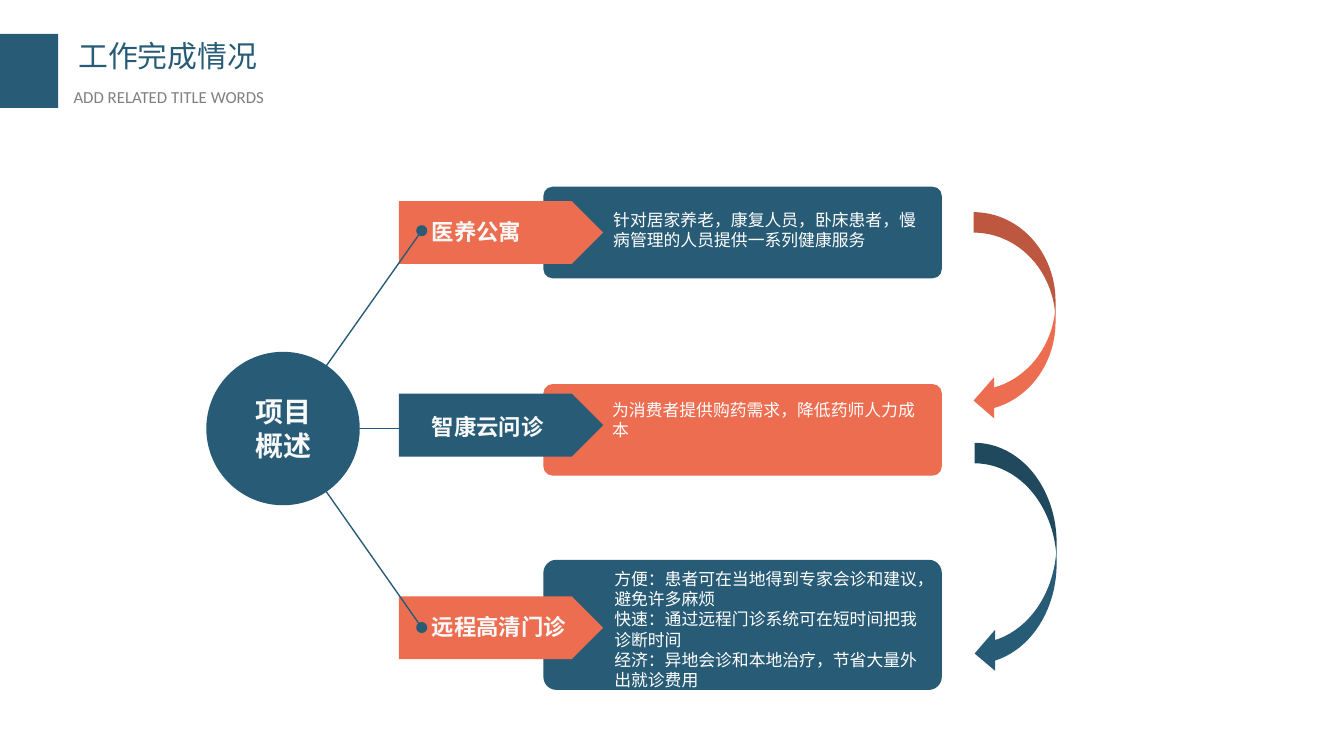
from lxml import etree
from pptx import Presentation
from pptx import util as u
from pptx.dml.color import RGBColor
from pptx.enum import shapes, text
from pptx.oxml.ns import qn

Cm, Pt = u.Cm, u.Pt
COLORS = {"blue": "285C76", "orange": "ED6D51", "gray": "808080",
          "light": "F8F8F8", "white": "FFFFFF"}
CJK_FONT = "Noto Sans CJK SC"

# Widescreen slide, 16:9
presentation = Presentation()
presentation.slide_width = Cm(25.4)
presentation.slide_height = presentation.slide_width * 9 // 16
slide = presentation.slides.add_slide(presentation.slide_layouts[1])


def add_block(kind, left, top, width, height, color):
    shape = slide.shapes.add_shape(kind, Cm(left), Cm(top), Cm(width), Cm(height))
    shape.shadow.inherit = False
    shape.fill.solid()
    shape.fill.fore_color.rgb = RGBColor.from_string(COLORS[color])
    shape.line.fill.background()
    return shape


def write(shape, lines, size, color, bold=False, font="Calibri",
          align=text.PP_ALIGN.LEFT, anchor=text.MSO_ANCHOR.MIDDLE, inset=0.18):
    frame = shape.text_frame
    frame.word_wrap = True
    frame.auto_size = text.MSO_AUTO_SIZE.NONE
    frame.vertical_anchor = anchor
    frame.margin_left = frame.margin_right = Cm(inset)
    frame.margin_top = frame.margin_bottom = Cm(0.1)
    for index, line in enumerate(lines):
        paragraph = frame.paragraphs[0] if index == 0 else frame.add_paragraph()
        paragraph.alignment = align
        paragraph.space_before = Pt(0)
        run = paragraph.add_run()
        run.text = line
        run.font.name, run.font.size, run.font.bold = font, Pt(size), bold
        run.font.color.rgb = RGBColor.from_string(COLORS[color])
        east_asian = etree.SubElement(run.font._element, qn("a:ea"))
        east_asian.set("typeface", CJK_FONT)


# Header: accent block, title and subtitle
add_block(shapes.MSO_SHAPE.RECTANGLE, 0, 0.64, 1.1, 1.4, "blue")
title, subtitle = slide.placeholders
headings = [
    (title, "工作完成情况", (1.28, 0.62, 5.11, 0.89), 16, "blue", CJK_FONT),
    (subtitle, "ADD RELATED TITLE WORDS", (1.19, 1.54, 5.66, 0.58), 9, "gray", "Calibri"),
]
for shape, line, box, size, color, font in headings:
    shape.left, shape.top, shape.width, shape.height = [Cm(value) for value in box]
    write(shape, [line], size, color, font=font, inset=0.2,
          align=text.PP_ALIGN.JUSTIFY, anchor=text.MSO_ANCHOR.TOP)
properties = subtitle.text_frame.paragraphs[0]._p.get_or_add_pPr()
properties.set("marL", "0")
properties.set("indent", "0")
etree.SubElement(properties, qn("a:buNone"))

# Branches: label, card top and height, tag top, label top, text left and top
branches = [
    ("医养公寓", 3.53, 1.73, 3.8, 3.99, 11.41, 3.62, "blue", "orange",
     ["针对居家养老，康复人员，卧床患者，慢病管理的人员提供一系列健康服务"]),
    ("智康云问诊", 7.26, 1.73, 7.44, 7.69, 11.39, 7.21, "orange", "blue",
     ["为消费者提供购药需求，降低药师人力成本"]),
    ("远程高清门诊", 10.58, 2.46, 11.27, 11.46, 11.43, 11.17, "blue", "orange",
     ["方便：患者可在当地得到专家会诊和建议，避免许多麻烦",
      "快速：通过远程门诊系统可在短时间把我诊断时间",
      "经济：异地会诊和本地治疗，节省大量外出就诊费用"]),
]
for (label, card_top, card_height, tag_top, label_top,
     text_left, text_top, card_color, tag_color, lines) in branches:
    card = add_block(shapes.MSO_SHAPE.ROUNDED_RECTANGLE, 10.27, card_top,
                     7.53, card_height, card_color)
    card.adjustments[0] = 0.1
    add_block(shapes.MSO_SHAPE.PENTAGON, 7.54, tag_top, 3.86, 1.19, tag_color)
    label_box = slide.shapes.add_textbox(Cm(7.98), Cm(label_top), Cm(3.25), Cm(0.76))
    write(label_box, [label], 12, "light", bold=True)
    text_box = slide.shapes.add_textbox(Cm(text_left), Cm(text_top), Cm(6.17), Cm(1.45))
    write(text_box, lines, 9, "white")

# Spokes from the hub to each tag
for end_top in (4.36, 8.1, 11.86):
    spoke = slide.shapes.add_connector(shapes.MSO_CONNECTOR.STRAIGHT,
                                       Cm(5.33), Cm(8.1), Cm(7.97), Cm(end_top))
    spoke.line.color.rgb = RGBColor.from_string(COLORS["blue"])
    spoke.line.width = Pt(0.75)
    outline = spoke.line._get_or_add_ln()
    for end in ("a:headEnd", "a:tailEnd"):
        etree.SubElement(outline, qn(end)).set("type", "oval")
    etree.SubElement(spoke._element.spPr, qn("a:effectLst"))

# Hub
hub = add_block(shapes.MSO_SHAPE.OVAL, 3.9, 6.65, 2.9, 2.9, "blue")
write(hub, ["项目", "概述"], 15, "light", bold=True, align=text.PP_ALIGN.CENTER)

# Curved arrows between the cards
for left, top, height, color in ((18.4, 4.01, 3.95, "orange"), (18.42, 8.37, 4.37, "blue")):
    add_block(shapes.MSO_SHAPE.CURVED_LEFT_ARROW, left, top, 1.55, height, color)

presentation.save("out.pptx")
